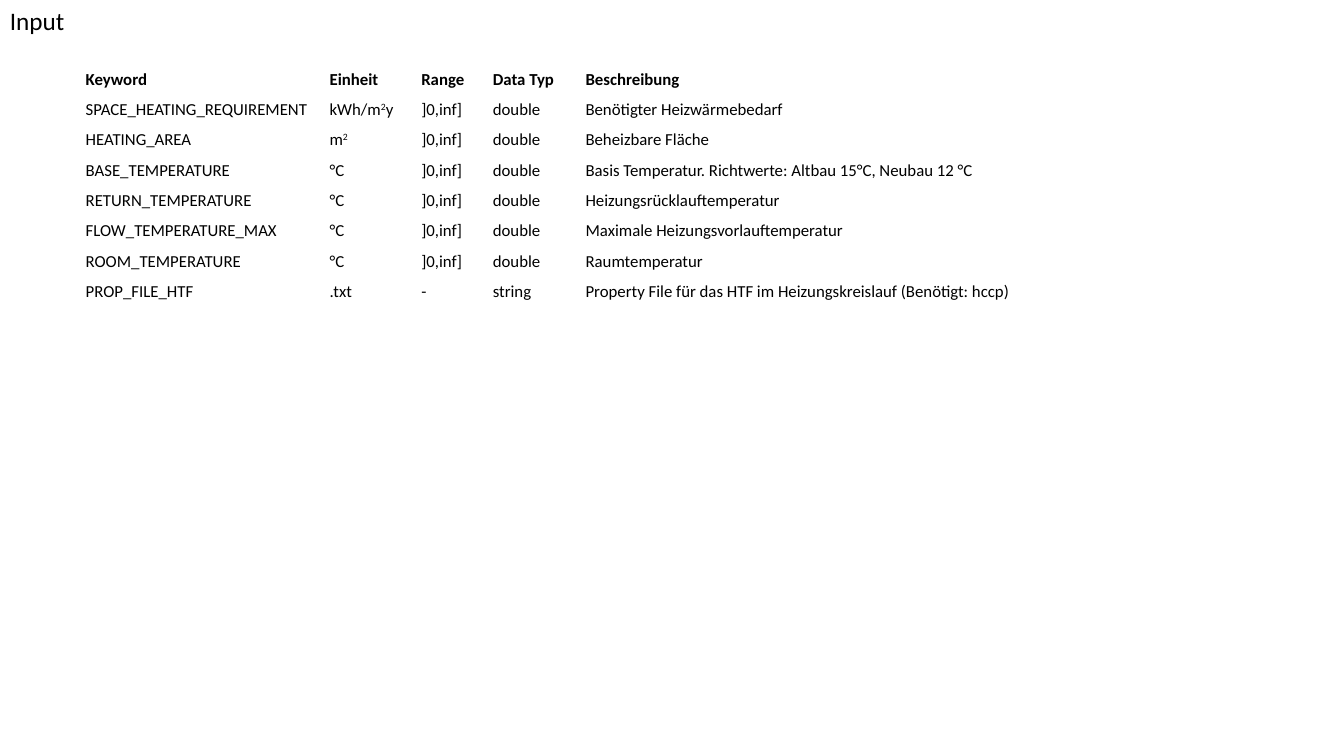
from dataclasses import dataclass

from pptx import Presentation
from pptx.dml.color import RGBColor
from pptx.enum import text
from pptx.util import Pt

FONT = "Calibri"
BLACK = "000000"
SUPERSCRIPT_MARK = "^"


@dataclass(frozen=True)
class Keyword:
    name: str
    unit: str
    limits: str
    data_type: str
    description: str

    def cells(self) -> tuple[str, ...]:
        return self.name, self.unit, self.limits, self.data_type, self.description


def positive(name: str, unit: str, description: str) -> Keyword:
    return Keyword(name, unit, "]0,inf]", "double", description)


HEADER = Keyword("Keyword", "Einheit", "Range", "Data Typ", "Beschreibung")
KEYWORDS = [
    positive("SPACE_HEATING_REQUIREMENT", "kWh/m^2^y", "Benötigter Heizwärmebedarf"),
    positive("HEATING_AREA", "m^2", "Beheizbare Fläche"),
    positive("BASE_TEMPERATURE", "°C",
             "Basis Temperatur. Richtwerte: Altbau 15°C, Neubau 12 °C"),
    positive("RETURN_TEMPERATURE", "°C", "Heizungsrücklauftemperatur"),
    positive("FLOW_TEMPERATURE_MAX", "°C", "Maximale Heizungsvorlauftemperatur"),
    positive("ROOM_TEMPERATURE", "°C", "Raumtemperatur"),
    Keyword("PROP_FILE_HTF", ".txt", "-", "string",
            "Property File für das HTF im Heizungskreislauf (Benötigt: hccp)"),
]
COLUMN_WIDTHS = [174.24, 65.52, 51.12, 66.24, 414]
ROW_HEIGHT = 21.6


def color(value: str) -> RGBColor:
    return RGBColor.from_string(value)


def write(tf, content: str, size: float, bold: bool = False) -> None:
    p = tf.paragraphs[0]
    parts = content.split(SUPERSCRIPT_MARK)
    p.text = parts[0]
    for part in parts[1:]:
        p.add_run().text = part
    for i, r in enumerate(p.runs):
        r.font.name = FONT
        r.font.size = Pt(size)
        r.font.bold = bold
        r.font.color.rgb = color(BLACK)
        if i % 2:
            r.font._element.set("baseline", "30000")


def add_title(s, content: str) -> None:
    sp = s.shapes.add_textbox(Pt(0), Pt(0), Pt(54), Pt(29))
    tf = sp.text_frame
    tf.word_wrap = False
    tf.auto_size = text.MSO_AUTO_SIZE.SHAPE_TO_FIT_TEXT
    write(tf, content, 18)


def add_keyword_table(s, rows: list[Keyword]) -> None:
    frame = s.shapes.add_table(
        len(rows), len(COLUMN_WIDTHS), Pt(54), Pt(46),
        Pt(sum(COLUMN_WIDTHS)), Pt(ROW_HEIGHT * len(rows)))
    table = frame.table
    table.first_row = False
    table.horz_banding = False
    for column, width in zip(table.columns, COLUMN_WIDTHS):
        column.width = Pt(width)
    for i, keyword in enumerate(rows):
        table.rows[i].height = Pt(ROW_HEIGHT)
        for cell, content in zip(table.rows[i].cells, keyword.cells()):
            cell.fill.background()
            write(cell.text_frame, content, 12, bold=i == 0)


prs = Presentation()
prs.slide_width = Pt(960)
prs.slide_height = Pt(540)
s = prs.slides.add_slide(prs.slide_layouts[6])
add_title(s, "Input")
add_keyword_table(s, [HEADER, *KEYWORDS])
prs.save("out.pptx")
